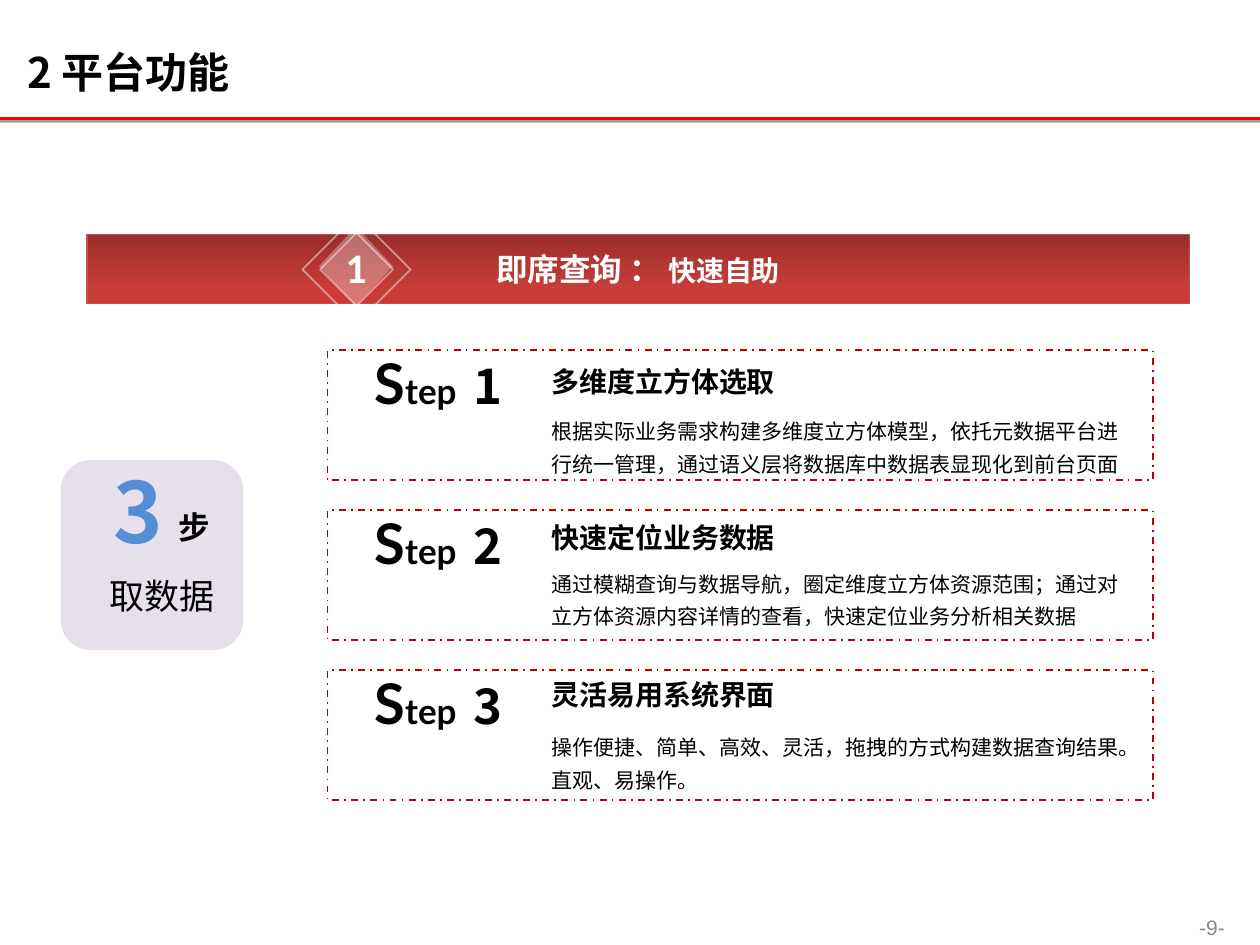
from copy import deepcopy

from pptx import Presentation
from pptx.dml.color import RGBColor
from pptx.enum.dml import MSO_LINE
from pptx.enum.shapes import MSO_CONNECTOR, MSO_SHAPE
from pptx.enum.text import MSO_ANCHOR, PP_ALIGN
from pptx.oxml.ns import qn
from pptx.util import Pt
from lxml.etree import SubElement

WHITE = RGBColor(0xFF, 0xFF, 0xFF)
BLACK = RGBColor(0, 0, 0)
RED = RGBColor(0xFF, 0, 0)
DARK_RED = RGBColor(0xC0, 0, 0)
BAR_EDGE = RGBColor(0xC0, 0x50, 0x4D)
BAR_STOPS = [
    (0, RGBColor(0x99, 0x2F, 0x2B)),
    (0.8, RGBColor(0xC9, 0x3D, 0x39)),
    (1, RGBColor(0xCD, 0x3A, 0x36)),
]
LAVENDER = RGBColor(0xE6, 0xE0, 0xEC)
BLUE = RGBColor(0x55, 0x8E, 0xD5)
GRAY = RGBColor(0x89, 0x89, 0x89)
CJK = "Noto Sans CJK SC"

# heading, its offset in the box, description, its offset in the box
STEPS = [
    ("多维度立方体选取", 4.3,
     "根据实际业务需求构建多维度立方体模型，依托元数据平台进行统一管理，"
     "通过语义层将数据库中数据表显现化到前台页面", 31),
    ("快速定位业务数据", 2.5,
     "通过模糊查询与数据导航，圈定维度立方体资源范围；"
     "通过对立方体资源内容详情的查看，快速定位业务分析相关数据", 27),
    ("灵活易用系统界面", 0.8,
     "操作便捷、简单、高效、灵活，拖拽的方式构建数据查询结果。直观、易操作。", 28.8),
]


def write(shape, runs, color=BLACK, bold=False, align=PP_ALIGN.LEFT):
    """Fill one paragraph with runs given as (text, size, font)."""
    paragraph = shape.text_frame.paragraphs[0]
    paragraph.alignment = align
    for text, size, font_name in runs:
        run = paragraph.add_run()
        run.text = text
        run.font.size = Pt(size)
        run.font.bold = bold
        run.font.color.rgb = color
        run.font.name = font_name
        SubElement(run.font._element, qn("a:ea"), typeface=font_name)
    return paragraph


def add_text(slide, box, runs, anchor=MSO_ANCHOR.TOP, wrap=True, **style):
    shape = slide.shapes.add_textbox(*map(Pt, box))
    shape.text_frame.word_wrap = wrap
    shape.text_frame.vertical_anchor = anchor
    return write(shape, runs, **style)


def add_box(shapes, kind, box, fill=None, line=None, width=1):
    shape = shapes.add_shape(kind, *map(Pt, box))
    shape.shadow.inherit = False
    if fill is None:
        shape.fill.background()
    else:
        shape.fill.solid()
        shape.fill.fore_color.rgb = fill
    if line is None:
        shape.line.fill.background()
    else:
        shape.line.color.rgb = line
        shape.line.width = Pt(width)
    return shape


def set_alpha(fill_element, percent):
    color = fill_element.find(qn("a:srgbClr"))
    SubElement(color, qn("a:alpha"), val=str(percent * 1000))


def add_header(slide, left, top, width, height):
    add_text(slide, (left + 8.6, top + 20.9, width - 33, 40.3), [("2 平台功能", 24, CJK)],
             anchor=MSO_ANCHOR.MIDDLE, bold=True)
    bottom = top + height
    rule = slide.shapes.add_connector(
        MSO_CONNECTOR.STRAIGHT, Pt(left), Pt(bottom), Pt(left + width), Pt(bottom))
    rule.line.color.rgb = RED
    rule.line.width = Pt(1.5)
    effects = SubElement(rule._element.spPr, qn("a:effectLst"))
    shadow = SubElement(effects, qn("a:outerShdw"), blurRad="0", dist=str(Pt(1.6)),
                        dir="5400000", rotWithShape="0")
    SubElement(shadow, qn("a:srgbClr"), val=str(BLACK))
    set_alpha(shadow, 38)


def add_number_badge(slide, left, top):
    group = slide.shapes.add_group_shape()
    for offset in (0, 10.1):
        outline = add_box(group.shapes, MSO_SHAPE.DIAMOND,
                          (left + offset, top, 51.8, 51.8), line=WHITE)
        set_alpha(outline.line._ln.find(qn("a:solidFill")), 45)
    diamond = add_box(group.shapes, MSO_SHAPE.DIAMOND,
                      (left + 9.4, top + 1.4, 42.5, 45.4), fill=WHITE)
    set_alpha(diamond._element.spPr.find(qn("a:solidFill")), 30)
    frame = diamond.text_frame
    frame.word_wrap = False
    frame.vertical_anchor = MSO_ANCHOR.MIDDLE
    write(diamond, [("1", 24, "Calibri")], WHITE, True, PP_ALIGN.CENTER)


def add_banner(slide, left, top, width, height):
    bar = add_box(slide.shapes, MSO_SHAPE.RECTANGLE, (left, top, width, height),
                  line=BAR_EDGE, width=0.75)
    bar.fill.gradient()
    bar.fill.gradient_angle = 270
    stop_list = bar._element.spPr.find(qn("a:gradFill")).find(qn("a:gsLst"))
    stop_list.append(deepcopy(stop_list[0]))
    for stop, (position, color) in zip(bar.fill.gradient_stops, BAR_STOPS):
        stop.position = position
        stop.color.rgb = color
    bar.text_frame.vertical_anchor = MSO_ANCHOR.MIDDLE
    write(bar, [("即席查询 ： ", 18, CJK), ("快速自助", 16, CJK)],
          WHITE, True, PP_ALIGN.CENTER)
    add_number_badge(slide, left + 123.1, top - 5.8)


def add_summary(slide, left, top, width, height):
    add_box(slide.shapes, MSO_SHAPE.ROUNDED_RECTANGLE, (left, top, width, height), fill=LAVENDER)
    center = PP_ALIGN.CENTER
    count = add_text(slide, (left + 21.6, top - 3.6, 46.1, 65.5), [("3", 48, CJK)],
                     wrap=False, color=BLUE, bold=True, align=center)
    count.runs[0].font._element.set("spc", "150")
    add_text(slide, (left + 60.5, top + 23.8, 28.1, 28.8), [("步", 18, CJK)],
             bold=True, align=center)
    add_text(slide, (left + 19.4, top + 61.9, 77, 31.7), [("取数据", 20, CJK)], align=center)


def add_step(slide, box, number, heading, heading_offset, description, description_offset):
    left, top, _, _ = box
    frame = add_box(slide.shapes, MSO_SHAPE.RECTANGLE, box, line=DARK_RED)
    frame.line.dash_style = MSO_LINE.DASH_DOT
    add_text(slide, (left + 14.4, top - 4.5, 97.9, 46.1),
             [("S", 32, "Lato"), ("tep  ", 20, "Lato"), (str(number), 28, CJK)],
             bold=True, align=PP_ALIGN.CENTER)
    text_left = left + 121
    add_text(slide, (text_left, top + heading_offset, 188, 39.6),
             [(heading, 16, CJK)], bold=True)
    paragraph = add_text(slide, (text_left, top + description_offset, 346, 43.2),
                         [(description, 12, CJK)])
    paragraph.line_spacing = 1.3


def add_steps(slide, left, top, width, height):
    box_height = 74.2
    pitch = (height - box_height) / (len(STEPS) - 1)
    for index, step in enumerate(STEPS):
        add_step(slide, (left, top + index * pitch, width, box_height), index + 1, *step)


def main():
    presentation = Presentation()
    presentation.slide_width = Pt(720)
    presentation.slide_height = Pt(540)
    slide = presentation.slides.add_slide(presentation.slide_layouts[6])
    slide.background.fill.solid()
    slide.background.fill.fore_color.rgb = WHITE
    add_header(slide, 0, 0, 720, 67.7)
    add_summary(slide, 34.6, 262.8, 104.4, 108.7)
    add_banner(slide, 49.7, 133.9, 630, 39.6)
    add_steps(slide, 187.2, 200.2, 471.6, 257)
    add_text(slide, (666.7, 519.1, 51.8, 20.9), [("-9-", 12, "Arial")],
             anchor=MSO_ANCHOR.MIDDLE, color=GRAY, align=PP_ALIGN.CENTER)
    presentation.save("out.pptx")


if __name__ == "__main__":
    main()
